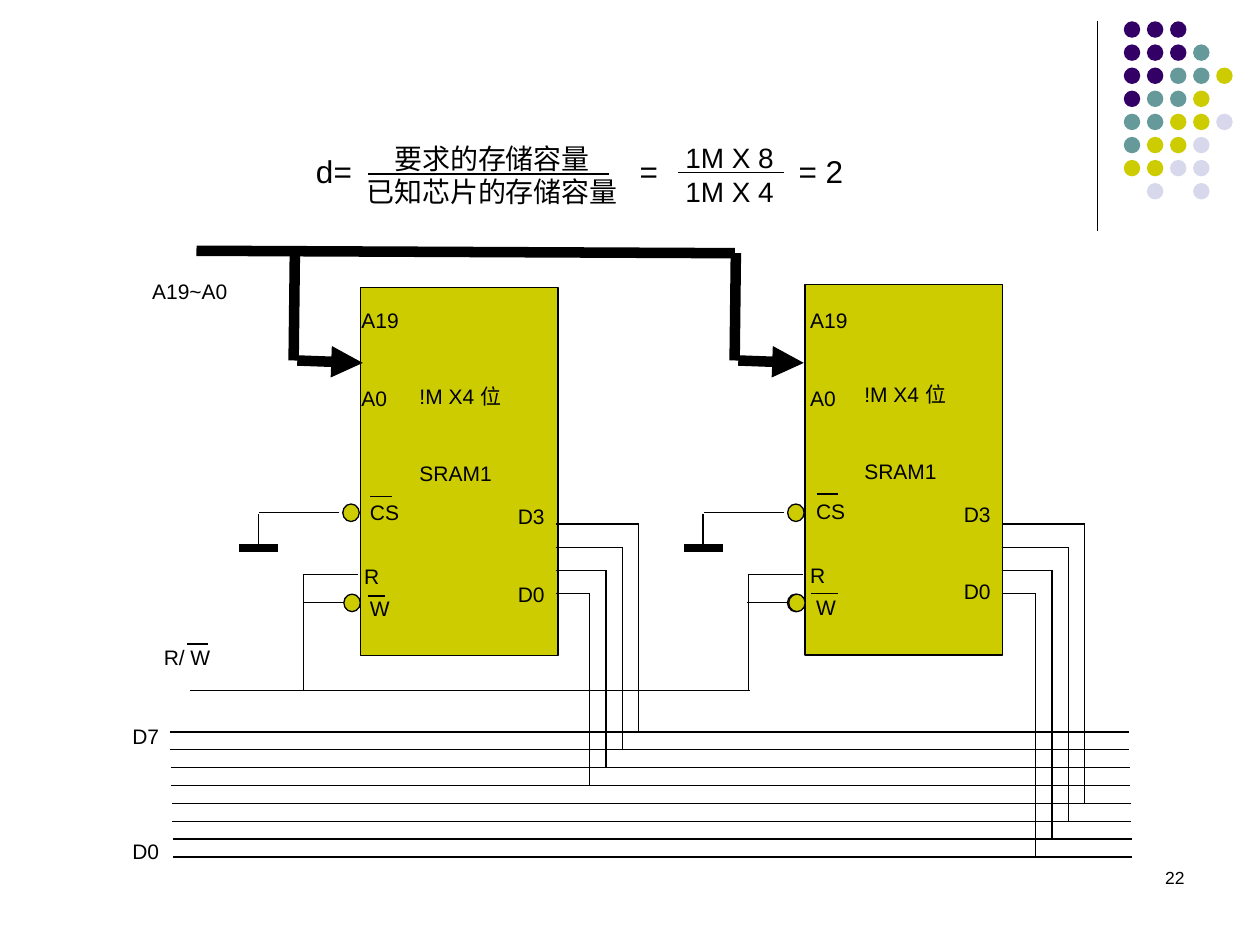
from dataclasses import dataclass

from lxml import etree
from pptx import Presentation
from pptx.dml.color import RGBColor
from pptx.enum import shapes, text
from pptx.oxml.ns import qn
from pptx.util import Pt


@dataclass(frozen=True)
class Theme:
    font: str = "Arial"
    ink: str = "000000"
    chip: str = "CCCC00"
    thin: float = 0.75
    ground: float = 4.5
    bus: float = 6
    label: float = 12
    formula: float = 18
    fraction: float = 16
    page: float = 10


T = Theme()
DOT_COLORS = {"P": "330066", "T": "669999", "Y": "CCCC00", "L": "D8D8EC"}
DOT_ROWS = ["PPP", "PPPT", "PPTTY", "PTTY", "TTYYL", "TYYL", "YYLL", " L L"]

# Vertical shift dy, pin label shift and address bus shift differ per chip
CHIPS = [
    dict(x=205.9, top=164.2, height=210.2, dy=0, pin_dx=0, addr_label=0.7, addr_dx=0,
         w_bar=(4.3, 14.4), w_bubbles=[-9.4], first_line=0),
    dict(x=460.1, top=162.7, height=211.7, dy=-1.4, pin_dx=0.7, addr_label=2.9, addr_dx=-2.2,
         w_bar=(3.6, 18.7), w_bubbles=[-10.1, -9.4], first_line=4),
]
CHIP_W = 113
# Wires left of a chip: x1, y1, x2, y2, width; x counts from the chip's left side
CONTROL_WIRES = [
    (-57.6, 293, -12.2, 293, T.thin),
    (-58.3, 293.8, -58.3, 311.8, T.thin),
    (-69.1, 313.2, -46.8, 313.2, T.ground),
    (-32.4, 328.3, -1.4, 328.3, T.thin),
    (-9.4, 344.2, -33, 344.2, T.thin),
    (-32.4, 328.3, -32.4, 394.6, T.thin),
]
# Labels beside the buses: x, y, width, height, lines, gap between lines
BUS_LABELS = [
    (87, 159, 55.5, 14.5, ["A19~A0"], 0),
    (93.6, 368.6, 55.5, 14.5, ["R/ W"], 0),
    (75.6, 413.3, 21.6, 80, ["D7", "D0"], 51.5),
]
FORMULA = [(173.5, "d="), (358.5, "="), (449.3, "= 2")]
# Fractions: x, y, width, height, numerator, denominator, bar start, bar end, bar y
FRACTIONS = [
    (196.2, 77.2, 170, 46, "要求的存储容量", "已知芯片的存储容量", 210.2, 347.8, 99.4),
    (384.5, 77, 64.8, 46, "1M X 8", "1M X 4", 387.4, 447.8, 98.6),
]
PAGE_NUMBER = "22"
DATA_LINES, DATA_TOP, DATA_PITCH = 8, 418.3, 10.2
PINS = 4


def rgb(color):
    return RGBColor.from_string(color)


def add_line(s, x1, y1, x2, y2, width=T.thin, arrow=False):
    c = s.shapes.add_connector(shapes.MSO_CONNECTOR.STRAIGHT, Pt(x1), Pt(y1), Pt(x2), Pt(y2))
    c.line.color.rgb = rgb(T.ink)
    c.line.width = Pt(width)
    if arrow:
        etree.SubElement(c.line._get_or_add_ln(), qn("a:tailEnd"), type="triangle")
    etree.SubElement(c._element.spPr, qn("a:effectLst"))


def add_solid(s, kind, x, y, w, h, fill, outlined=True):
    sp = s.shapes.add_shape(kind, Pt(x), Pt(y), Pt(w), Pt(h))
    sp.shadow.inherit = False
    sp.fill.solid()
    sp.fill.fore_color.rgb = rgb(fill)
    if outlined:
        sp.line.color.rgb = rgb(T.ink)
        sp.line.width = Pt(T.thin)
    else:
        sp.line.fill.background()


def add_text(s, x, y, w, h, lines, size=T.label, gaps=(), spacing=None,
             align=text.PP_ALIGN.LEFT, inset=(0, 0), wrap=True):
    """Add one paragraph per line; gaps holds the space before each line after the first."""
    tf = s.shapes.add_textbox(Pt(x), Pt(y), Pt(w), Pt(h)).text_frame
    tf.word_wrap = wrap
    tf.margin_left = tf.margin_right = Pt(inset[0])
    tf.margin_top = tf.margin_bottom = Pt(inset[1])
    for i, line in enumerate(lines):
        p = tf.add_paragraph() if i else tf.paragraphs[0]
        p.alignment = align
        p.line_spacing = spacing
        if i and gaps:
            p.space_before = Pt(gaps[i - 1])
        r = p.add_run()
        r.text = line
        r.font.name, r.font.size = T.font, Pt(size)
        r.font.color.rgb = rgb(T.ink)


def add_corner_dots(s):
    add_line(s, 627, 12.2, 627, 131.8)
    for row, codes in enumerate(DOT_ROWS):
        for col, code in enumerate(codes):
            if code in DOT_COLORS:
                add_solid(s, shapes.MSO_SHAPE.OVAL, 642.2 + 13.2 * col, 12.2 + 13.2 * row,
                          9.4, 9.4, DOT_COLORS[code], outlined=False)


def add_chip(s, chip):
    x, dy, pin = chip["x"], chip["dy"], chip["x"] + chip["pin_dx"]
    add_solid(s, shapes.MSO_SHAPE.RECTANGLE, x, chip["top"], CHIP_W, chip["height"], T.chip)
    add_text(s, x + chip["addr_label"], 176, 21.6, 58, ["A19", "A0"], gaps=[29.7])
    add_text(s, x + 33.8, 219.4 + dy, 49, 73, ["!M X4 位", "SRAM1"], gaps=[29.5])
    add_text(s, pin + 2.2, 288.7 + dy / 2, 21.6, 65.5, [" CS", "R", " W"],
             gaps=[26, 7.5], spacing=0.75)
    add_text(s, pin + 90, 288 + dy, 21.6, 58, ["D3", "D0"], gaps=[29.7])

    ax = x + chip["addr_dx"]
    add_line(s, ax - 37.4, 144.7, ax - 38.1, 206, T.bus)
    add_line(s, ax - 36, 206, ax + 1.4, 207.4, T.bus, arrow=True)

    for x1, y1, x2, y2, width in CONTROL_WIRES:
        add_line(s, x + x1, y1, x + x2, y2, width)
    for bx, by in [(-10, 288)] + [(b, 339.5) for b in chip["w_bubbles"]]:
        add_solid(s, shapes.MSO_SHAPE.OVAL, x + bx, by, 9.4, 10, T.chip)
    add_line(s, pin + 5.8, 283.7 + dy, pin + 18, 283.7 + dy)
    w1, w2 = chip["w_bar"]
    add_line(s, x + w1, 340.6 + dy, x + w2, 340.6 + dy)

    for i in range(PINS):
        y, end = 299.5 + 13.2 * i, pin + 159 - 9.3 * i
        add_line(s, pin + 111.6, y, end, y)
        add_line(s, end, y, end, DATA_TOP + DATA_PITCH * (chip["first_line"] + i))


def add_buses(s):
    add_line(s, 112.3, 143.3, 420, 144.7, T.bus)
    add_line(s, 108.7, 394.6, 428.4, 394.6)
    for i in range(DATA_LINES):
        x, y = 97 + 0.3 * i, DATA_TOP + DATA_PITCH * i
        add_line(s, x, y, x + 548, y)
    for x, y, w, h, lines, gap in BUS_LABELS:
        add_text(s, x, y, w, h, lines, gaps=[gap])
    add_line(s, 106.6, 368, 118.8, 368)


def add_formula(s):
    inset = (7.2, 3.6)
    for x, part in FORMULA:
        add_text(s, x, 83.5, 45, 29, [part], T.formula, inset=inset, wrap=False)
    for x, y, w, h, top, bottom, x1, x2, bar_y in FRACTIONS:
        add_text(s, x, y, w, h, [top, bottom], T.fraction,
                 align=text.PP_ALIGN.CENTER, inset=inset, wrap=False)
        add_line(s, x1, bar_y, x2, bar_y)


def main():
    prs = Presentation()
    prs.slide_width, prs.slide_height = Pt(720), Pt(540)
    s = prs.slides.add_slide(prs.slide_layouts[6])
    add_corner_dots(s)
    for chip in CHIPS:
        add_chip(s, chip)
    add_buses(s)
    add_formula(s)
    add_text(s, 516.2, 491.8, 167.8, 36, [PAGE_NUMBER], T.page,
             align=text.PP_ALIGN.RIGHT, inset=(7.2, 3.6))
    prs.save("out.pptx")


if __name__ == "__main__":
    main()
